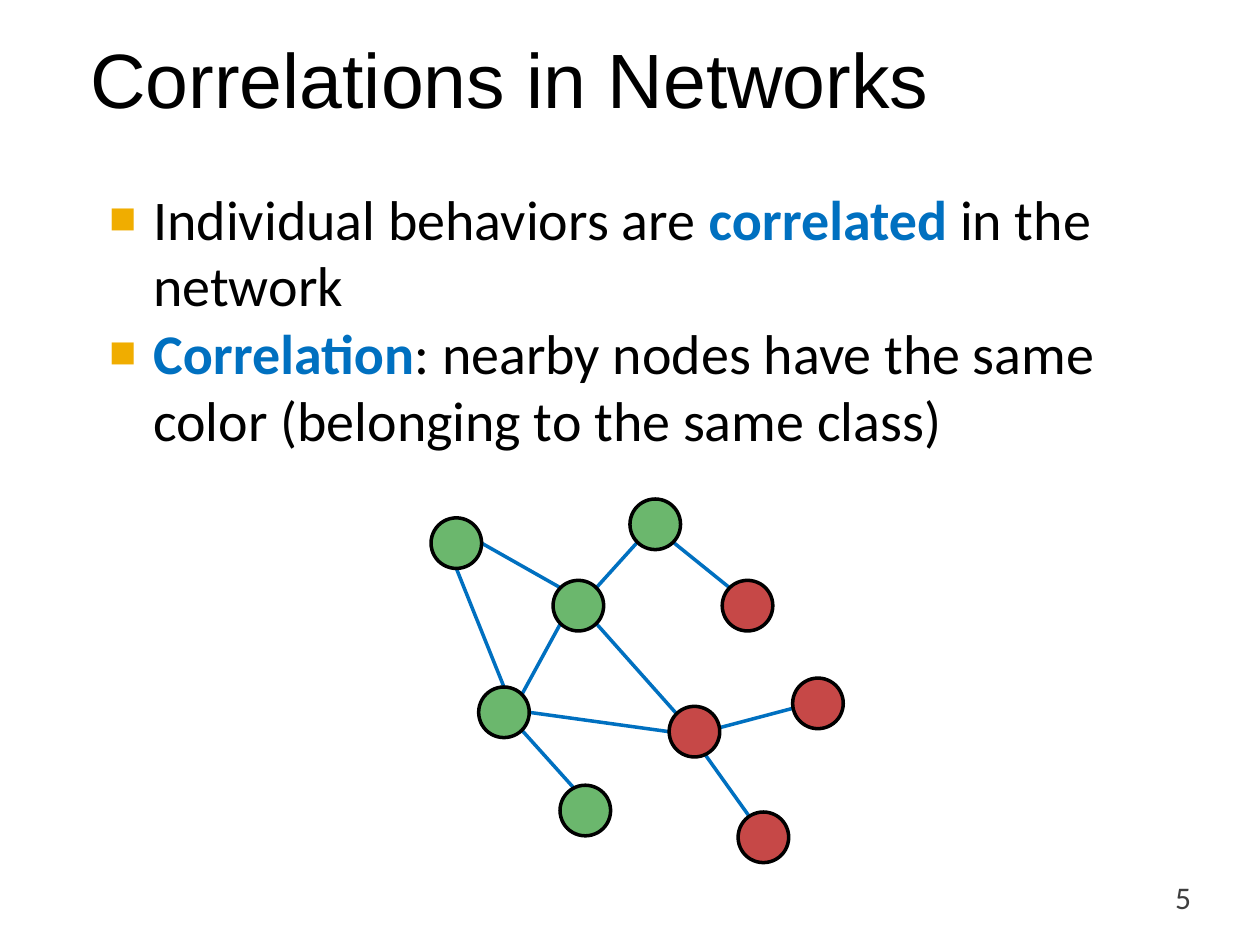
import math

import lxml.etree
import pptx
import pptx.dml.color
import pptx.enum.shapes
import pptx.enum.text
import pptx.oxml.ns
import pptx.util

Cm = pptx.util.Cm
Pt = pptx.util.Pt
qn = pptx.oxml.ns.qn

COLORS = {
    "black": "000000",
    "grey": "3E3E3E",
    "blue": "0070C0",
    "amber": "F0AD00",
    "green": "6BB76D",
    "red": "C64847",
}

DIAMETER = 1.02

# Node name: centre x, centre y (cm), class colour
NODES = {
    "top": (13.21, 10.57, "green"),
    "hub": (11.66, 12.21, "green"),
    "bottom": (11.8, 16.34, "green"),
    "left": (10.16, 14.36, "green"),
    "corner": (9.2, 10.95, "green"),
    "upper red": (15.07, 12.21, "red"),
    "lower red": (15.39, 16.88, "red"),
    "red hub": (14.0, 14.75, "red"),
    "right red": (16.49, 14.18, "red"),
}

# Node and rim angle at each end, in degrees clockwise from the right
EDGES = [
    ("red hub", 65, "lower red", 236),
    ("corner", 0, "hub", 225),
    ("corner", 90, "left", 270),
    ("hub", 135, "left", 315),
    ("left", 0, "red hub", 180),
    ("left", 45, "bottom", 243),
    ("red hub", 225, "hub", 45),
    ("top", 135, "hub", 315),
    ("top", 45, "upper red", 225),
    ("red hub", -9, "right red", 169),
]

# Each bullet is a list of (text, is keyword)
BULLETS = [
    [("Individual behaviors are ", False), ("correlated", True), (" in the network", False)],
    [("Correlation", True),
     (": nearby nodes have the same color (belonging to the same class)", False)],
]


def rim_point(node, angle):
    x, y, _ = NODES[node]
    turn = math.radians(angle)
    radius = DIAMETER / 2
    return Cm(x + radius * math.cos(turn)), Cm(y + radius * math.sin(turn))


class SlideBuilder:
    def __init__(self, slide):
        self.slide = slide
        self.line_width = Pt(2)

    def color(self, name):
        return pptx.dml.color.RGBColor.from_string(COLORS[name])

    def set_font(self, font, name, size, color):
        font.name, font.size = name, Pt(size)
        font.color.rgb = self.color(color)

    def text_frame(self, left, top, width, height, insets=(0, 0, 0, 0)):
        box = self.slide.shapes.add_textbox(Cm(left), Cm(top), Cm(width), Cm(height))
        frame = box.text_frame
        frame.word_wrap = True
        (frame.margin_left, frame.margin_top,
         frame.margin_right, frame.margin_bottom) = map(Cm, insets)
        return frame

    def label(self, text, place, font, size, color, insets=(0, 0, 0, 0)):
        frame = self.text_frame(*place, insets)
        frame.vertical_anchor = pptx.enum.text.MSO_ANCHOR.MIDDLE
        para = frame.paragraphs[0]
        para.text = text
        para.line_spacing = 0.9
        self.set_font(para.font, font, size, color)

    def add_bullet(self, para):
        props = para._p.get_or_add_pPr()
        props.set("marL", str(Cm(0.91)))
        props.set("indent", str(-Cm(0.89)))
        tint = lxml.etree.SubElement(props, qn("a:buClr"))
        lxml.etree.SubElement(tint, qn("a:srgbClr"), val=COLORS["amber"])
        lxml.etree.SubElement(props, qn("a:buSzPct"), val="81000")
        lxml.etree.SubElement(props, qn("a:buFont"), typeface="Arial")
        lxml.etree.SubElement(props, qn("a:buChar"), char="■")

    def bullets(self, items, place):
        frame = self.text_frame(*place, insets=(0, 0.1, 0, 0))
        for index, spans in enumerate(items):
            para = frame.add_paragraph() if index else frame.paragraphs[0]
            self.add_bullet(para)
            para.line_spacing = Pt(37.9)
            para.space_before = Pt(1.1 if index else 2.6)
            self.set_font(para.font, "Calibri", 32, "black")
            for text, is_keyword in spans:
                span = para.add_run()
                span.text = text
                if is_keyword:
                    span.font.bold = True
                    span.font.color.rgb = self.color("blue")

    def edge(self, start, start_angle, end, end_angle):
        connector = self.slide.shapes.add_connector(
            pptx.enum.shapes.MSO_CONNECTOR.STRAIGHT,
            *rim_point(start, start_angle), *rim_point(end, end_angle))
        connector.line.color.rgb = self.color("blue")
        connector.line.width = self.line_width
        lxml.etree.SubElement(connector._element.spPr, qn("a:effectLst"))

    def node(self, x, y, color):
        circle = self.slide.shapes.add_shape(
            pptx.enum.shapes.MSO_SHAPE.OVAL,
            Cm(x - DIAMETER / 2), Cm(y - DIAMETER / 2), Cm(DIAMETER), Cm(DIAMETER))
        circle.shadow.inherit = False
        circle.fill.solid()
        circle.fill.fore_color.rgb = self.color(color)
        circle.line.color.rgb = self.color("black")
        circle.line.width = self.line_width


def main():
    deck = pptx.Presentation()
    deck.slide_width, deck.slide_height = Cm(25.4), Cm(19.05)
    page = SlideBuilder(deck.slides.add_slide(deck.slide_layouts[6]))

    page.label("Correlations in Networks", (1.57, 0.71, 21.9, 1.96),
               "Arial", 44, "black", insets=(0.25, 0.13, 0.25, 0.13))
    page.bullets(BULLETS, (2.18, 3.63, 20.2, 5.54))
    for edge in EDGES:
        page.edge(*edge)
    for node in NODES.values():
        page.node(*node)
    page.label("5", (23.44, 17.75, 1.3, 0.76), "Calibri", 18, "grey",
               insets=(0.25, 0, 0, 0))

    deck.save("out.pptx")


if __name__ == "__main__":
    main()
